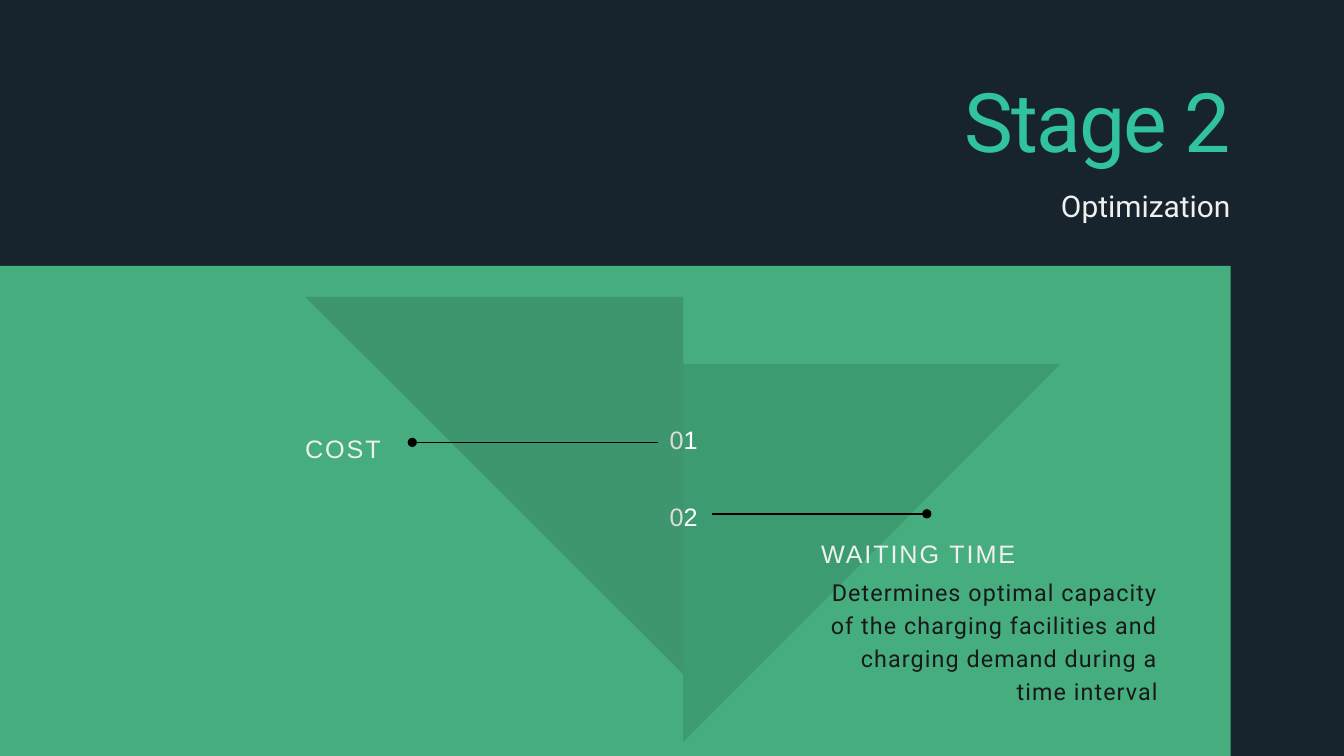
"""Build the Stage 2 optimization slide."""
from lxml import etree
from pptx import Presentation
from pptx.dml.color import RGBColor
from pptx.enum.shapes import MSO_CONNECTOR, MSO_SHAPE
from pptx.enum.text import MSO_AUTO_SIZE, PP_ALIGN
from pptx.oxml.ns import qn
from pptx.util import Pt

LEFT, CENTER, RIGHT = PP_ALIGN.LEFT, PP_ALIGN.CENTER, PP_ALIGN.RIGHT
GROW = MSO_AUTO_SIZE.SHAPE_TO_FIT_TEXT
RECTANGLE, STRAIGHT = MSO_SHAPE.RECTANGLE, MSO_CONNECTOR.STRAIGHT

PX = 9525
SLIDE_SIZE = (1920, 1080)
COLORS = {
    "background": "17242D", "panel": "45AD7E", "title": "31C29F",
    "light": "F0F0EE", "white": "FFFFFF", "dark": "191919", "black": "000000",
}
STYLES = {
    "title": dict(name="Roboto", size=88, color="title", align=RIGHT, leading=88, spacing=-1.8),
    "subtitle": dict(name="Roboto", size=32, color="light", align=RIGHT, leading=41.6, spacing=0),
    "number": dict(name="Arial", size=27, color="white", align=CENTER, leading=37.8, spacing=0),
    "cost": dict(name="Arial", size=27, color="light", align=RIGHT, leading=37.8, spacing=2),
    "waiting": dict(name="Arial", size=27, color="light", align=LEFT, leading=37.8, spacing=2),
    "body": dict(name="Roboto", size=25, color="dark", align=RIGHT, leading=35, spacing=1.2),
}

PANEL = (-54, 380, 1812, 700)
HEADINGS = [
    ("Stage 2", "title", (282, 124, 1476, 128)),
    ("Optimization", "subtitle", (282, 264, 1476, 109)),
]
NUMBERS = [
    ("01", "number", (948, 599, 57, 46)),
    ("02", "number", (948, 709, 57, 46)),
]
LABELS = [
    ("COST", "cost", (252, 612, 292, 47)),
    ("WAITING TIME", "waiting", (1173, 762, 481, 47)),
    ("Determines optimal capacity of the charging facilities and charging demand "
     "during a time interval", "body", (1173, 820, 481, 183)),
]
RIGHT_TRIANGLE = ([(976, 520), (1515, 520), (976, 1060)], "black", 10)
LEFT_TRIANGLE = ([(436, 424), (976, 424), (976, 963)], "dark", 15)
COST_LINE = (940, 589, 632)
WAITING_LINE = (1017, 1324, 734)


def rgb(color):
    return RGBColor.from_string(COLORS[color])


def scaled(lengths):
    return [length * PX for length in lengths]


def paint(shape, color):
    shape.shadow.inherit = False
    shape.fill.solid()
    shape.fill.fore_color.rgb = rgb(color)
    shape.line.fill.background()


def add_text(slide, text, style_name, box):
    style = STYLES[style_name]
    frame = slide.shapes.add_textbox(*scaled(box)).text_frame
    frame_format = dict(word_wrap=True, auto_size=GROW, margin_left=0,
                        margin_top=0, margin_right=0, margin_bottom=0)
    for key, value in frame_format.items():
        setattr(frame, key, value)
    paragraph = frame.paragraphs[0]
    paragraph.alignment = style["align"]
    paragraph.line_spacing = Pt(style["leading"])
    run = paragraph.add_run()
    run.text = text
    for key, value in dict(name=style["name"], size=Pt(style["size"])).items():
        setattr(run.font, key, value)
    run.font.color.rgb = rgb(style["color"])
    if style["spacing"]:
        run.font._element.set("spc", str(round(style["spacing"] * 100)))


def add_triangle(slide, points, color, opacity):
    builder = slide.shapes.build_freeform(*points[0], scale=PX)
    builder.add_line_segments(points[1:], close=True)
    triangle = builder.convert_to_shape()
    paint(triangle, color)
    fill_color = triangle._element.spPr.find(qn("a:solidFill"))[0]
    etree.SubElement(fill_color, qn("a:alpha"), val=str(opacity * 1000))


def add_dotted_end_line(slide, start, end, y):
    connector = slide.shapes.add_connector(STRAIGHT, *scaled((start, y, end, y)))
    connector.line.color.rgb = rgb("black")
    connector.line.width = Pt(1.8)
    outline = connector.line._get_or_add_ln()
    etree.SubElement(outline, qn("a:tailEnd"), type="oval", w="lg", len="lg")
    etree.SubElement(connector._element.spPr, qn("a:effectLst"))


def main():
    presentation = Presentation()
    presentation.slide_width, presentation.slide_height = scaled(SLIDE_SIZE)
    slide = presentation.slides.add_slide(presentation.slide_layouts[6])
    slide.background.fill.solid()
    slide.background.fill.fore_color.rgb = rgb("background")

    paint(slide.shapes.add_shape(RECTANGLE, *scaled(PANEL)), "panel")
    for heading in HEADINGS:
        add_text(slide, *heading)
    add_triangle(slide, *RIGHT_TRIANGLE)
    for number in NUMBERS:
        add_text(slide, *number)
    add_dotted_end_line(slide, *COST_LINE)
    add_triangle(slide, *LEFT_TRIANGLE)
    add_dotted_end_line(slide, *WAITING_LINE)
    for label in LABELS:
        add_text(slide, *label)
    presentation.save("out.pptx")


if __name__ == "__main__":
    main()
